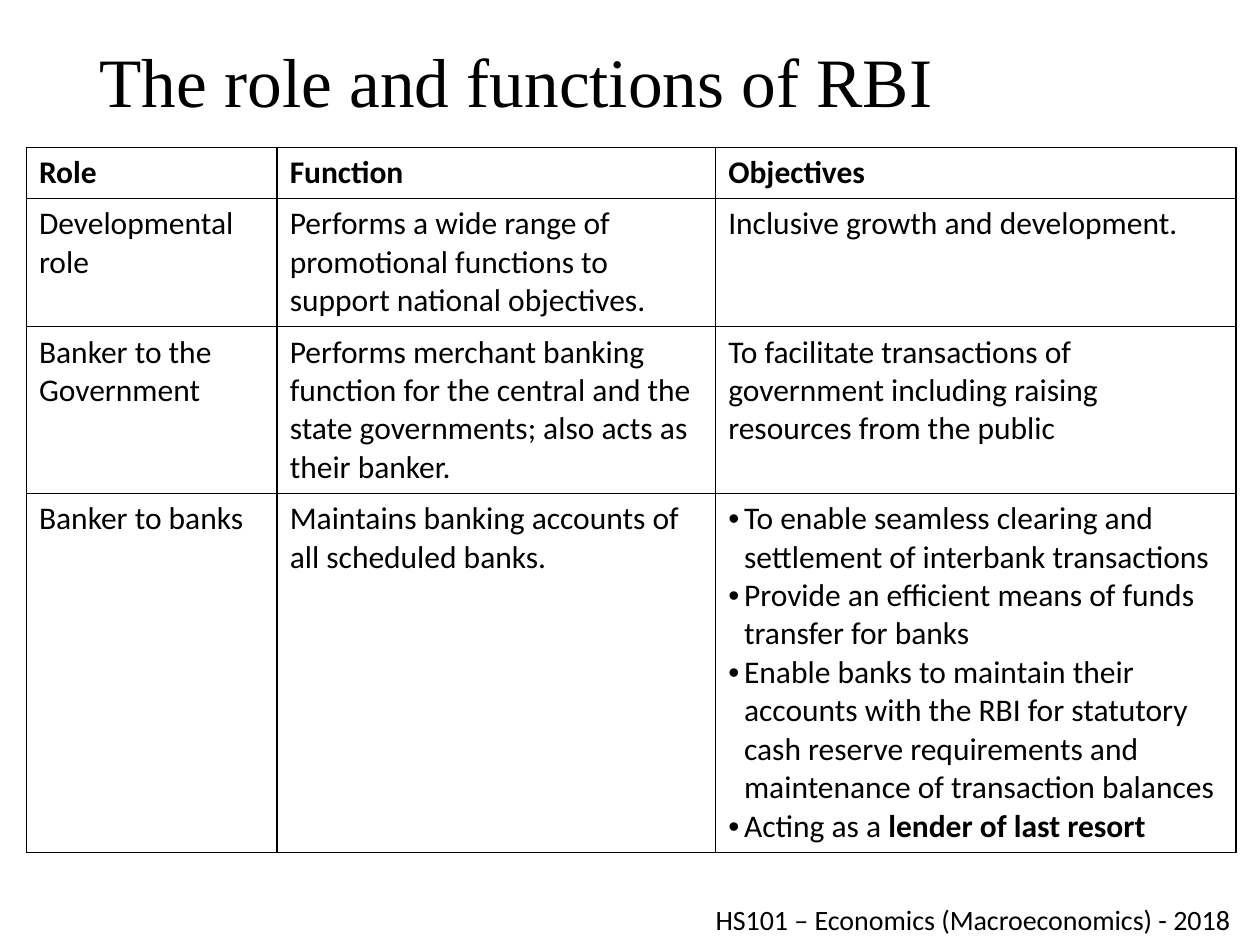
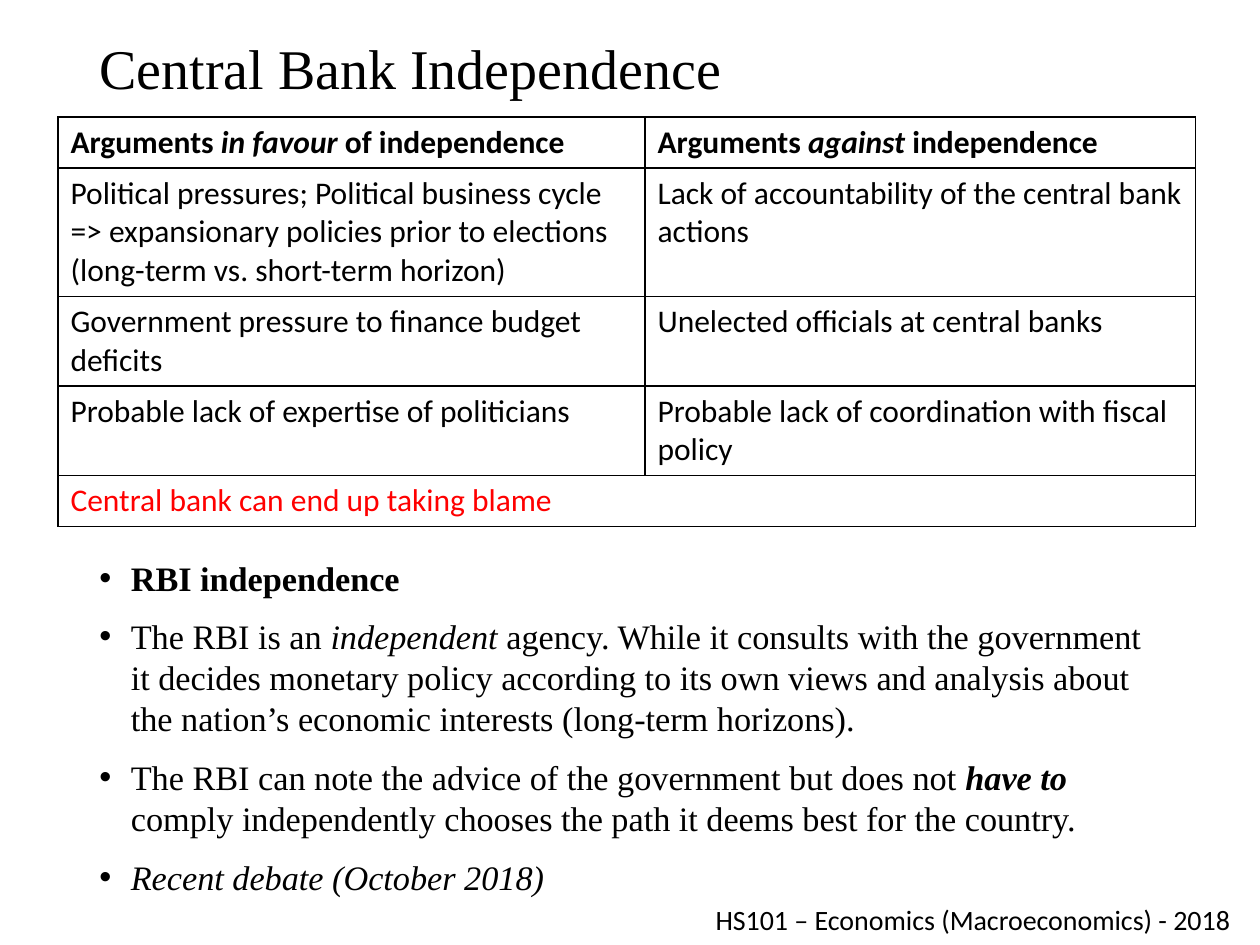
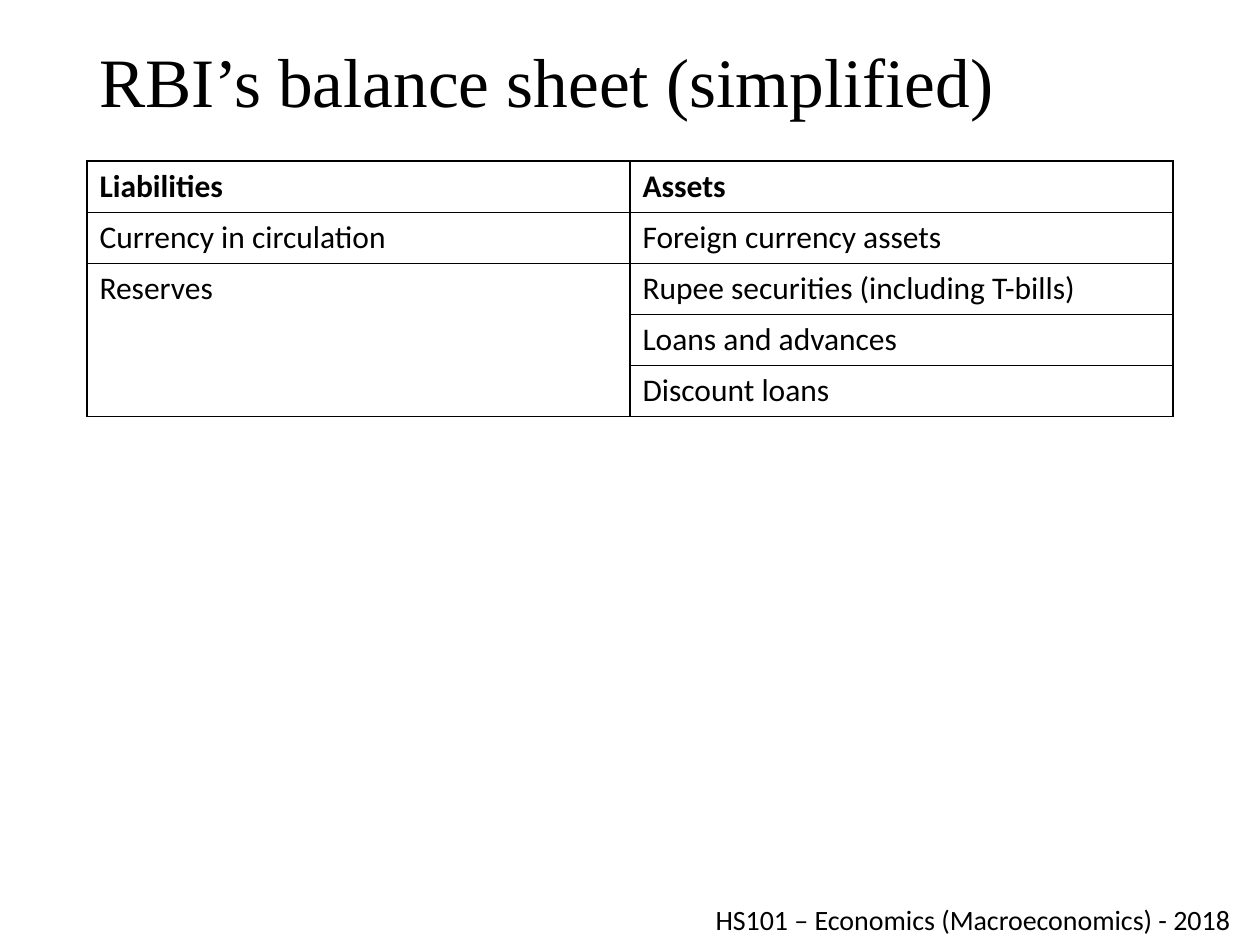
from lxml import etree
from pptx import Presentation
from pptx.dml.color import RGBColor
from pptx.enum import text
from pptx.oxml import ns
from pptx.util import Pt

BLACK, WHITE, RED = "000000", "FFFFFF", "FF0000"
SERIF, SANS = "Times New Roman", "Calibri"
FOOTER = "HS101 – Economics (Macroeconomics) - 2018"
LEFT, WIDTH = 49.7, 620.6  # title and body column
CELL_LINE, CELL_PADDING = 22, 7.2


def write(paragraph, pieces, font, size, ink=BLACK, bold=False, bullet=0):
    """Add a string, or (words, flags) runs; bullet is the hanging indent in points."""
    if isinstance(pieces, str):
        pieces = [(pieces, "")]
    for words, flags in pieces:
        run = paragraph.add_run()
        run.text = words
        run.font.name, run.font.size = font, Pt(size)
        run.font.bold = bold or "b" in flags
        run.font.italic = "i" in flags
        run.font.color.rgb = RGBColor.from_string(ink)
    if bullet:
        props = paragraph._p.get_or_add_pPr()
        props.set("marL", str(Pt(bullet)))
        props.set("indent", str(Pt(-bullet)))
        etree.SubElement(props, ns.qn("a:buFont"), typeface="Arial")
        etree.SubElement(props, ns.qn("a:buChar"), char="•")


def add_text(slide, left, top, width, height, anchor=text.MSO_ANCHOR.MIDDLE):
    """Add a wrapping text box and return its text frame."""
    frame = slide.shapes.add_textbox(Pt(left), Pt(top), Pt(width), Pt(height)).text_frame
    frame.word_wrap = True
    frame.vertical_anchor = anchor
    return frame


# A cell is a string, a list of runs, or a tuple of bulleted paragraphs.
roles = [
    ["Role", "Function", "Objectives"],
    ["Developmental role",
     "Performs a wide range of promotional functions to support national objectives.",
     "Inclusive growth and development."],
    ["Banker to the Government",
     "Performs merchant banking function for the central and the state governments; "
     "also acts as their banker.",
     "To facilitate transactions of government including raising resources from the public"],
    ["Banker to banks",
     "Maintains banking accounts of all scheduled banks.",
     ("To enable seamless clearing and settlement of interbank transactions",
      "Provide an efficient means of funds transfer for banks",
      "Enable banks to maintain their accounts with the RBI for statutory cash reserve "
      "requirements and maintenance of transaction balances",
      [("Acting as a ", ""), ("lender of last resort", "b")])],
]
arguments = [
    [[("Arguments ", ""), ("in favour", "i"), (" of independence", "")],
     [("Arguments ", ""), ("against", "i"), (" independence", "")]],
    ["Political pressures; Political business cycle => expansionary policies prior to "
     "elections (long-term vs. short-term horizon)",
     "Lack of accountability of the central bank actions"],
    ["Government pressure to finance budget deficits", "Unelected officials at central banks"],
    ["Probable lack of expertise of politicians",
     "Probable lack of coordination with fiscal policy"],
    ["Central bank can end up taking blame", ""],
]
balance = [
    ["Liabilities", "Assets"],
    ["Currency in circulation", "Foreign currency assets"],
    ["Reserves", "Rupee securities (including T-bills)"],
    ["", "Loans and advances"],
    ["", "Discount loans"],
]
independence = [
    [("RBI independence", "b")],
    [("The RBI is an ", ""), ("independent ", "i"),
     ("agency. While it consults with the government it decides monetary policy according "
      "to its own views and analysis about the nation’s economic interests "
      "(long-term horizons).", "")],
    [("The RBI can note the advice of the government but does not ", ""), ("have to ", "bi"),
     ("comply independently chooses the path it deems best for the country.", "")],
    [("Recent debate (October 2018)", "i")],
]

# title, its top and size; table left, top, column widths, lines per row, merge, red row
pages = [
    ("The role and functions of RBI", 25.2, 39.6,
     roles, 15.1, 84.3, [143.3, 250.6, 297.4], [1, 3, 4, 9], None, None),
    ("Central Bank Independence", 17.3, 32,
     arguments, 33.1, 66.9, [335.5, 314.6], [1, 3, 2, 2, 1], ((4, 0), (4, 1)), 4),
    ("RBI’s balance sheet (simplified)", 25.2, 39.6,
     balance, LEFT, 92.1, [WIDTH / 2] * 2, [1] * 5, ((2, 0), (4, 0)), None),
]

deck = Presentation()
deck.slide_width, deck.slide_height = Pt(720), Pt(540)

for (title, title_top, title_size, rows, left, top, widths, lines,
     merge, red_row) in pages:
    slide = deck.slides.add_slide(deck.slide_layouts[6])
    heading = add_text(slide, LEFT, title_top, WIDTH, 46.8).paragraphs[0]
    heading.line_spacing = 0.9
    write(heading, title, SERIF, title_size)

    heights = [CELL_LINE * count + CELL_PADDING for count in lines]
    grid = slide.shapes.add_table(len(rows), len(widths), Pt(left), Pt(top),
                                  Pt(sum(widths)), Pt(sum(heights))).table
    grid.first_row = grid.horz_banding = False
    for column, width in zip(grid.columns, widths):
        column.width = Pt(width)
    for r, (row, height) in enumerate(zip(rows, heights)):
        grid.rows[r].height = Pt(height)
        for c, content in enumerate(row):
            cell = grid.cell(r, c)
            props = cell._tc.get_or_add_tcPr()
            for side in ("lnL", "lnR", "lnT", "lnB"):
                edge = etree.SubElement(props, ns.qn("a:" + side), w=str(Pt(1)))
                paint = etree.SubElement(edge, ns.qn("a:solidFill"))
                etree.SubElement(paint, ns.qn("a:srgbClr"), val=BLACK)
            cell.fill.solid()
            cell.fill.fore_color.rgb = RGBColor.from_string(WHITE)
            bulleted = isinstance(content, tuple)
            for n, item in enumerate(content if bulleted else [content]):
                frame = cell.text_frame
                paragraph = frame.add_paragraph() if n else frame.paragraphs[0]
                if item:
                    write(paragraph, item, SANS, 18, RED if r == red_row else BLACK,
                          bold=r == 0, bullet=9 if bulleted else 0)
    if merge:
        grid.cell(*merge[0]).merge(grid.cell(*merge[1]))

    if rows is arguments:
        body = add_text(slide, LEFT, 314.6, WIDTH, 216.7, text.MSO_ANCHOR.TOP)
        for n, point in enumerate(independence):
            paragraph = body.add_paragraph() if n else body.paragraphs[0]
            paragraph.space_before = Pt(10)
            write(paragraph, point, SERIF, 19.6, bullet=18)

    footer = add_text(slide, 401.8, 510.5, 316.8, 29.5)
    write(footer.paragraphs[0], FOOTER, SANS, 16)

deck.save("out.pptx")
